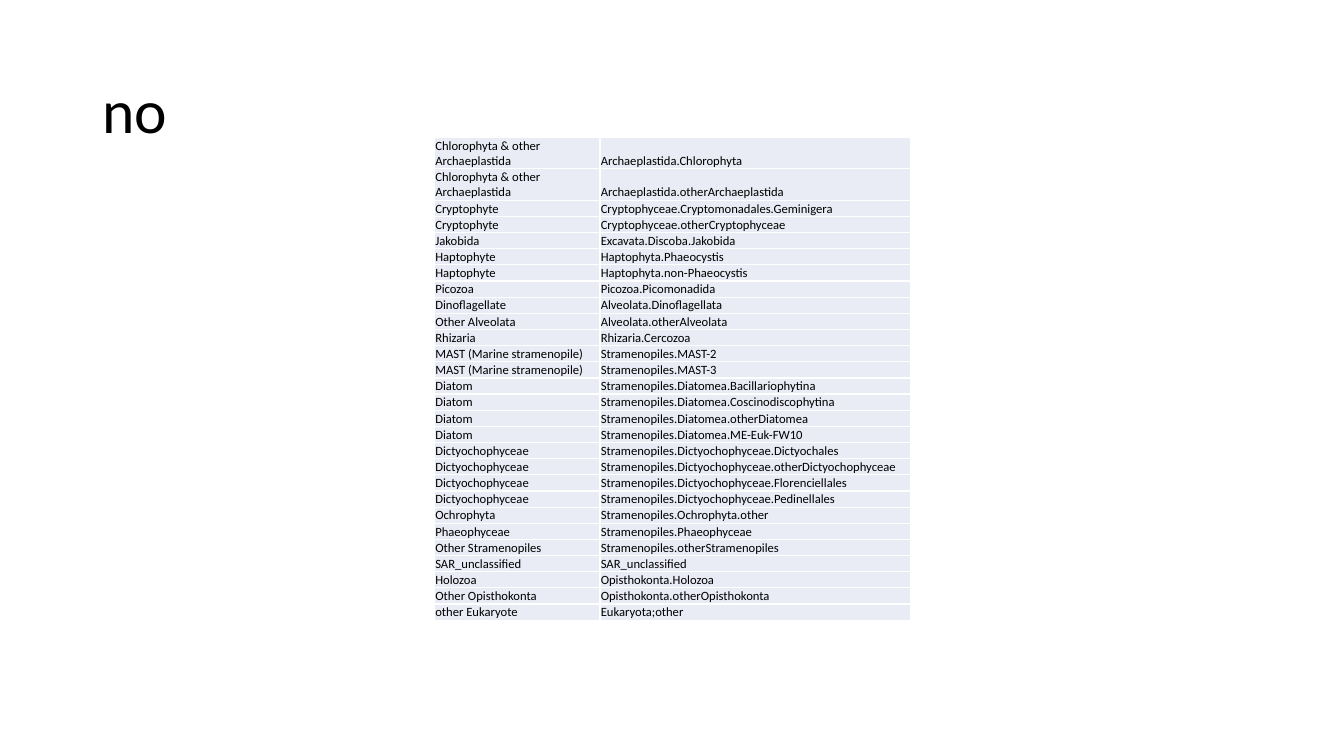
import pptx
import pptx.dml.color
import pptx.enum.text
import pptx.oxml
import pptx.oxml.ns
import pptx.util

Cm = pptx.util.Cm
Pt = pptx.util.Pt
ANCHOR = pptx.enum.text.MSO_ANCHOR
FONT = "Calibri"
COLORS = {"text": "000000", "cell": "E9EBF5", "border": "FFFFFF"}

# Each group with the taxa it covers
GROUPS = [
    ("Chlorophyta & other Archaeplastida",
     ["Archaeplastida.Chlorophyta", "Archaeplastida.otherArchaeplastida"]),
    ("Cryptophyte",
     ["Cryptophyceae.Cryptomonadales.Geminigera", "Cryptophyceae.otherCryptophyceae"]),
    ("Jakobida", ["Excavata.Discoba.Jakobida"]),
    ("Haptophyte", ["Haptophyta.Phaeocystis", "Haptophyta.non-Phaeocystis"]),
    ("Picozoa", ["Picozoa.Picomonadida"]),
    ("Dinoflagellate", ["Alveolata.Dinoflagellata"]),
    ("Other Alveolata", ["Alveolata.otherAlveolata"]),
    ("Rhizaria", ["Rhizaria.Cercozoa"]),
    ("MAST (Marine stramenopile)", ["Stramenopiles.MAST-2", "Stramenopiles.MAST-3"]),
    ("Diatom",
     ["Stramenopiles.Diatomea.Bacillariophytina",
      "Stramenopiles.Diatomea.Coscinodiscophytina",
      "Stramenopiles.Diatomea.otherDiatomea",
      "Stramenopiles.Diatomea.ME-Euk-FW10"]),
    ("Dictyochophyceae",
     ["Stramenopiles.Dictyochophyceae.Dictyochales",
      "Stramenopiles.Dictyochophyceae.otherDictyochophyceae",
      "Stramenopiles.Dictyochophyceae.Florenciellales",
      "Stramenopiles.Dictyochophyceae.Pedinellales"]),
    ("Ochrophyta", ["Stramenopiles.Ochrophyta.other"]),
    ("Phaeophyceae", ["Stramenopiles.Phaeophyceae"]),
    ("Other Stramenopiles", ["Stramenopiles.otherStramenopiles"]),
    ("SAR_unclassified", ["SAR_unclassified"]),
    ("Holozoa", ["Opisthokonta.Holozoa"]),
    ("Other Opisthokonta", ["Opisthokonta.otherOpisthokonta"]),
    ("other Eukaryote", ["Eukaryota;other"]),
]


def color(name):
    return pptx.dml.color.RGBColor.from_string(COLORS[name])


def set_font(para, size):
    para.font.name = FONT
    para.font.size = Pt(size)
    para.font.bold = False
    para.font.color.rgb = color("text")


def add_title(page, text, left, top, width, height):
    title = page.shapes.title
    title.left, title.top, title.width, title.height = left, top, width, height
    frame = title.text_frame
    frame.text = text
    frame.word_wrap = True
    frame.vertical_anchor = ANCHOR.MIDDLE
    para = frame.paragraphs[0]
    para.alignment = pptx.enum.text.PP_ALIGN.LEFT
    para.line_spacing = 0.9
    set_font(para, 44)


def add_borders(cell):
    properties = cell._tc.get_or_add_tcPr()
    for side in ("lnL", "lnR", "lnT", "lnB"):
        properties.append(pptx.oxml.parse_xml(
            f'<a:{side} {pptx.oxml.ns.nsdecls("a")} w="{Pt(1)}"><a:solidFill>'
            f'<a:srgbClr val="{COLORS["border"]}"/></a:solidFill></a:{side}>'))


def fill_cell(cell, text):
    add_borders(cell)
    cell.fill.solid()
    cell.fill.fore_color.rgb = color("cell")
    cell.margin_left = cell.margin_right = cell.margin_top = Cm(0.02)
    cell.margin_bottom = 0
    cell.vertical_anchor = ANCHOR.BOTTOM
    cell.text = text
    set_font(cell.text_frame.paragraphs[0], 9)


def add_taxa_table(page, left, top, width, height):
    entries = [(group, taxon) for group, taxa in GROUPS for taxon in taxa]
    table = page.shapes.add_table(len(entries), 2, left, top, width, height).table
    table.first_row = table.horz_banding = False
    group_width = Cm(4.17)
    table.columns[0].width = group_width
    table.columns[1].width = width - group_width

    # The first group wraps onto two lines, so its rows are taller
    tall = Cm(0.77)
    tall_count = len(GROUPS[0][1])
    short = int((height - tall_count * tall) / (len(entries) - tall_count))
    for index, entry in enumerate(entries):
        table.rows[index].height = tall if index < tall_count else short
        for column, text in enumerate(entry):
            fill_cell(table.cell(index, column), text)


def main():
    deck = pptx.Presentation()
    deck.slide_width, deck.slide_height = Cm(33.87), Cm(19.05)
    page = deck.slides.add_slide(deck.slide_layouts[5])
    add_title(page, "no", Cm(2.33), Cm(1.01), Cm(29.21), Cm(3.68))
    add_taxa_table(page, Cm(10.95), Cm(3.46), Cm(12), Cm(12.14))
    deck.save("out.pptx")


if __name__ == "__main__":
    main()
